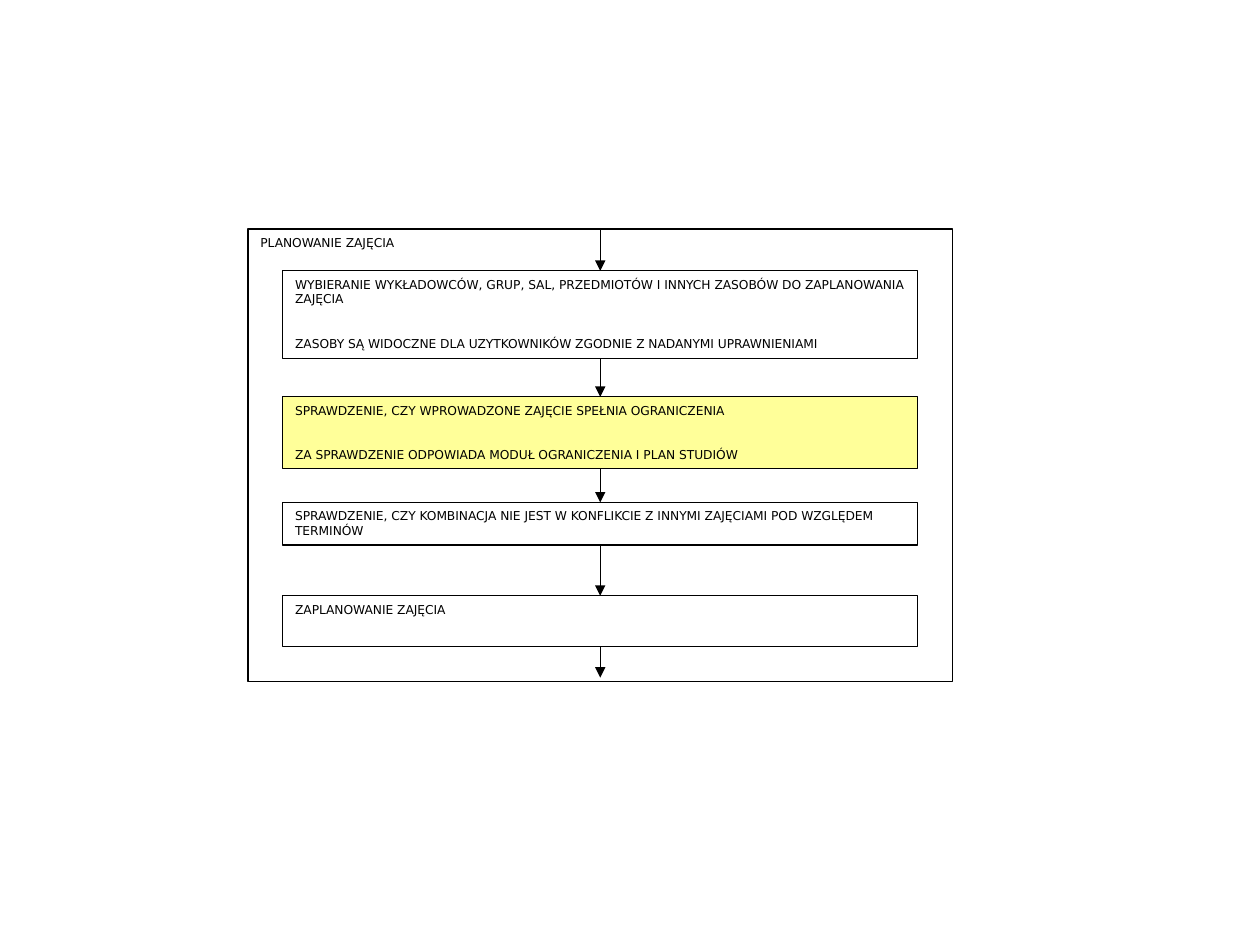
import pptx
import pptx.util
import pptx.dml.color
import pptx.enum.shapes
import pptx.enum.text
from lxml import etree
from pptx.util import Cm, Pt

HEX = {"ink": "000000", "mark": "FFFF99"}
FONT = "DejaVu Sans"

# top and height in cm within the frame, fill, paragraphs
STEPS = [
    (0.84, 1.77, None,
     ["WYBIERANIE WYKŁADOWCÓW, GRUP, SAL, PRZEDMIOTÓW I INNYCH ZASOBÓW "
      "DO ZAPLANOWANIA ZAJĘCIA",
      "ZASOBY SĄ WIDOCZNE DLA UZYTKOWNIKÓW ZGODNIE Z NADANYMI UPRAWNIENIAMI"]),
    (3.38, 1.45, "mark",
     ["SPRAWDZENIE, CZY WPROWADZONE ZAJĘCIE SPEŁNIA OGRANICZENIA",
      "ZA SPRAWDZENIE ODPOWIADA MODUŁ OGRANICZENIA I PLAN STUDIÓW"]),
    (5.51, 0.86, None,
     ["SPRAWDZENIE, CZY KOMBINACJA NIE JEST W KONFLIKCIE Z INNYMI "
      "ZAJĘCIAMI POD WZGLĘDEM TERMINÓW"]),
    (7.39, 1.02, None, ["ZAPLANOWANIE ZAJĘCIA"]),
]


def color(name):
    return pptx.dml.color.RGBColor.from_string(HEX[name])


def add_box(slide, left, top, width, height, fill, lines):
    box = slide.shapes.add_shape(
        pptx.enum.shapes.MSO_SHAPE.RECTANGLE,
        Cm(left), Cm(top), Cm(width), Cm(height))
    box.shadow.inherit = False
    if fill:
        box.fill.solid()
        box.fill.fore_color.rgb = color(fill)
    else:
        box.fill.background()
    box.line.color.rgb = color("ink")
    box.line.width = Pt(0.75)
    frame = box.text_frame
    frame.word_wrap = True
    frame.vertical_anchor = pptx.enum.text.MSO_ANCHOR.TOP
    frame.text = "\n".join(lines)
    for n, para in enumerate(frame.paragraphs):
        para.alignment = pptx.enum.text.PP_ALIGN.LEFT
        para.space_before = Pt(17 if n else 4.4)
        para.font.name = FONT
        para.font.size = Pt(7)
        para.font.color.rgb = color("ink")


def add_arrow(slide, x, start, end):
    """Draw a downward arrow at x."""
    arrow = slide.shapes.add_connector(
        pptx.enum.shapes.MSO_CONNECTOR.STRAIGHT,
        Cm(x), Cm(start), Cm(x), Cm(end))
    arrow.line.color.rgb = color("ink")
    arrow.line.width = Pt(0.75)
    space = "{http://schemas.openxmlformats.org/drawingml/2006/main}"
    etree.SubElement(arrow.line._get_or_add_ln(), space + "tailEnd",
                     type="triangle")
    etree.SubElement(arrow._element.spPr, space + "effectLst")


def add_flow(slide, left, top, width, height):
    """Frame the steps and link them from the top edge to the bottom."""
    inset = 0.7
    add_box(slide, left, top, width, height, None, ["PLANOWANIE ZAJĘCIA"])
    for y, tall, fill, lines in STEPS:
        add_box(slide, left + inset, top + y, width - 2 * inset, tall,
                fill, lines)
    starts = [0] + [y + tall for y, tall, *_ in STEPS]
    ends = [y for y, *_ in STEPS] + [height - 0.08]
    for start, end in zip(starts, ends):
        add_arrow(slide, left + width / 2, top + start, top + end)


def main():
    deck = pptx.Presentation()
    deck.slide_width = Cm(25.4)
    deck.slide_height = Cm(19.05)
    slide = deck.slides.add_slide(deck.slide_layouts[6])
    add_flow(slide, 5, 4.62, 14.2, 9.12)
    deck.save("out.pptx")


if __name__ == "__main__":
    main()
